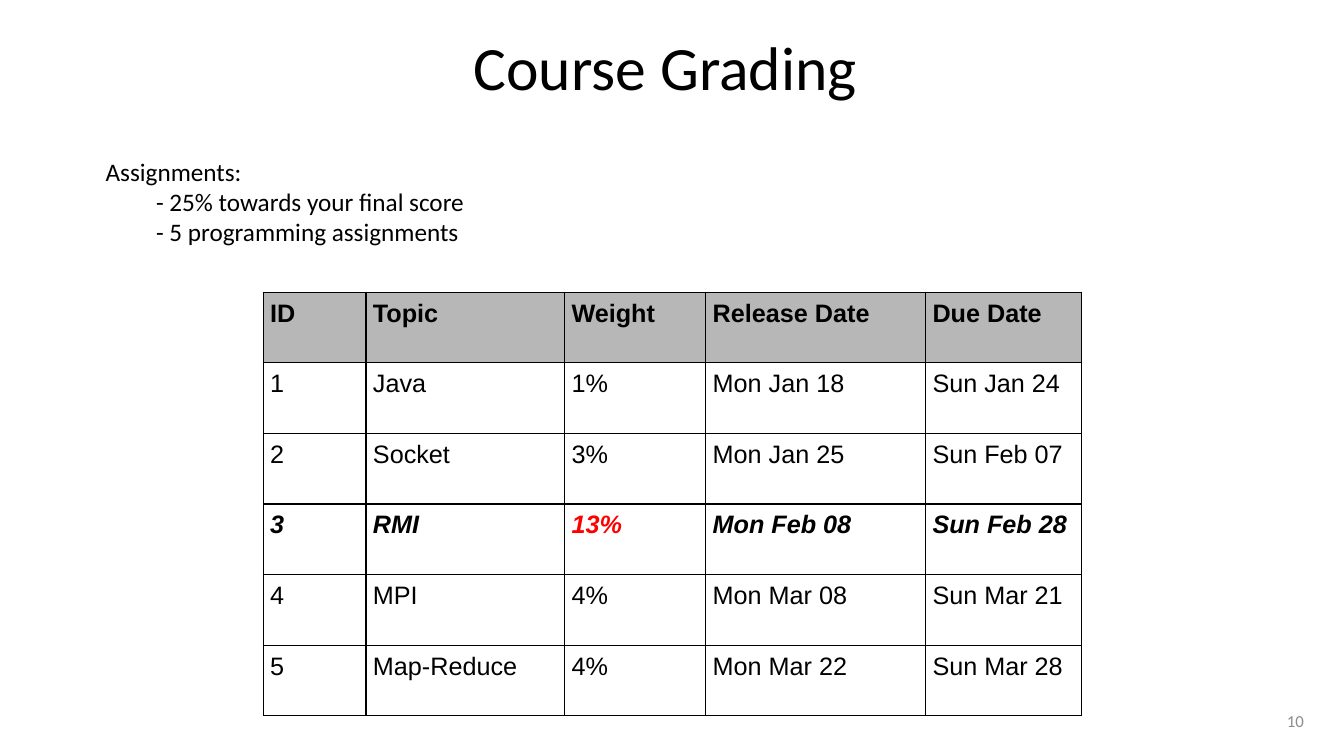
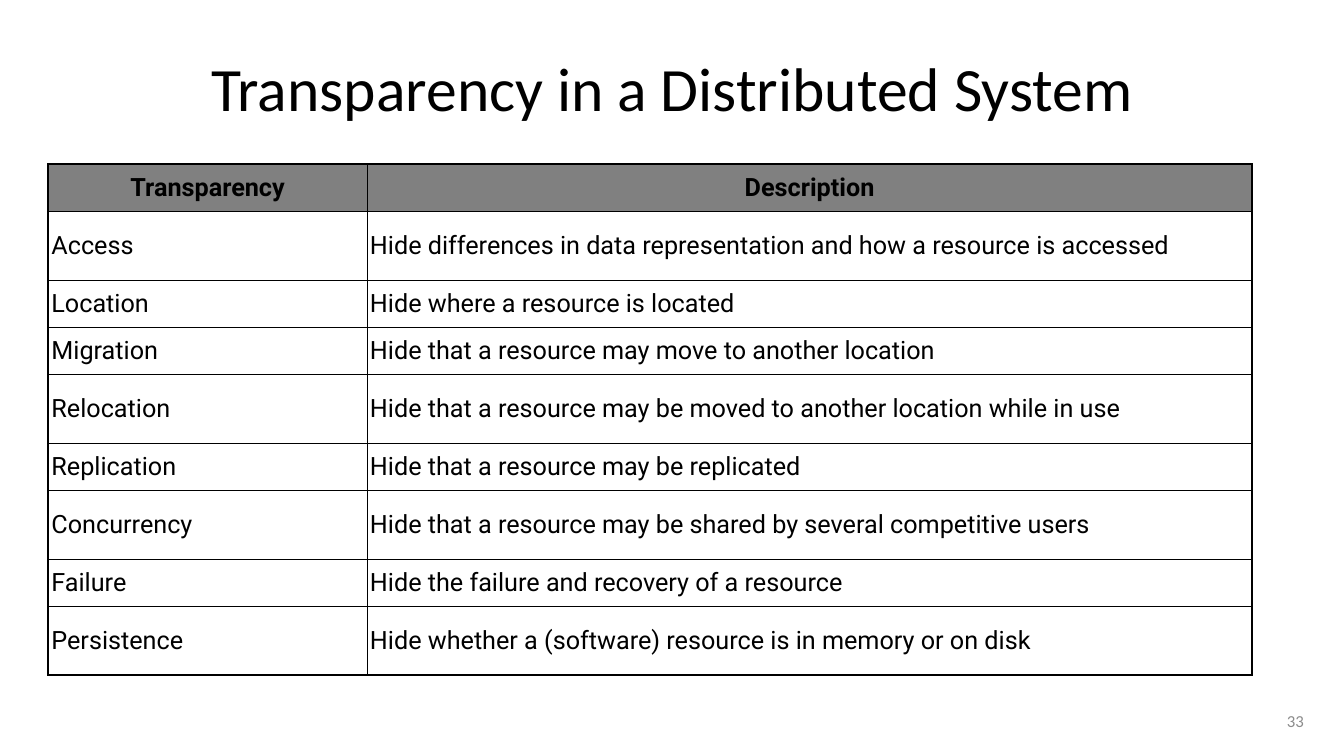
from lxml.etree import SubElement
from pptx import Presentation
from pptx.dml.color import RGBColor
from pptx.enum.text import MSO_ANCHOR, MSO_AUTO_SIZE, PP_ALIGN
from pptx.oxml.ns import qn
from pptx.util import Inches, Pt

# Content
GRADING_TITLE = "Course Grading"
GRADING_NOTES = [
    ("Assignments:", 0),
    ("- 25% towards your final score", 1),
    ("- 5 programming assignments", 1),
]
GRADING_ROWS = [
    ("ID", "Topic", "Weight", "Release Date", "Due Date"),
    ("1", "Java", "1%", "Mon Jan 18", "Sun Jan 24"),
    ("2", "Socket", "3%", "Mon Jan 25", "Sun Feb 07"),
    ("3", "RMI", "13%", "Mon Feb 08", "Sun Feb 28"),
    ("4", "MPI", "4%", "Mon Mar 08", "Sun Mar 21"),
    ("5", "Map-Reduce", "4%", "Mon Mar 22", "Sun Mar 28"),
]
CURRENT_ASSIGNMENT = 3
WEIGHT_COLUMN = 2

TRANSPARENCY_TITLE = "Transparency in a Distributed System"
TRANSPARENCY_ROWS = [
    ("Transparency", "Description"),
    ("Access", "Hide differences in data representation and how a resource is accessed"),
    ("Location", "Hide where a resource is located"),
    ("Migration", "Hide that a resource may move to another location"),
    ("Relocation", "Hide that a resource may be moved to another location while in use"),
    ("Replication", "Hide that a resource may be replicated"),
    ("Concurrency", "Hide that a resource may be shared by several competitive users"),
    ("Failure", "Hide the failure and recovery of a resource"),
    ("Persistence", "Hide whether a (software) resource is in memory or on disk"),
]
TALL_ROWS = {"Access", "Relocation", "Concurrency", "Persistence"}

# Shared style
COLORS = {
    "text": "000000",
    "page": "FFFFFF",
    "number": "8C8C8C",
    "highlight": "FF0000",
    "grading_header": "B7B7B7",
    "transparency_header": "808080",
}
BODY_FONT = "Calibri"


def color(name):
    return RGBColor.from_string(COLORS[name])


def style(paragraph, size, font=BODY_FONT, color_name="text", bold=False, italic=False):
    paragraph.font.name = font
    paragraph.font.size = Pt(size)
    paragraph.font.bold = bold
    paragraph.font.italic = italic
    paragraph.font.color.rgb = color(color_name)


def place(shape, box):
    shape.left, shape.top, shape.width, shape.height = map(Inches, box)


def add_text_box(slide, box):
    frame = slide.shapes.add_textbox(*map(Inches, box)).text_frame
    frame.word_wrap = True
    return frame


def add_titled_slide(presentation, title, title_box, number):
    slide = presentation.slides.add_slide(presentation.slide_layouts[5])
    place(slide.shapes.title, title_box)
    frame = slide.shapes.title.text_frame
    frame.text = title
    frame.vertical_anchor = MSO_ANCHOR.MIDDLE
    paragraph = frame.paragraphs[0]
    paragraph.alignment = PP_ALIGN.CENTER
    paragraph.line_spacing = 0.9
    style(paragraph, 44)

    frame = add_text_box(slide, (10.03, 6.95, 3, 0.4))
    frame.text = str(number)
    frame.vertical_anchor = MSO_ANCHOR.MIDDLE
    frame.paragraphs[0].alignment = PP_ALIGN.RIGHT
    style(frame.paragraphs[0], 12, color_name="number")
    return slide


def set_borders(cell, widths):
    properties = cell._tc.get_or_add_tcPr()
    for side, width in zip("LRTB", widths):
        line = SubElement(properties, qn(f"a:ln{side}"), w=str(Pt(width)))
        fill = SubElement(line, qn("a:solidFill"))
        SubElement(fill, qn("a:srgbClr"), val=COLORS["text"])


def add_grid(slide, rows, corner, column_widths, row_heights, font, header,
             margin, anchor, inner_line, outer_line):
    """Draw a bordered table with a filled header row."""
    size = (sum(column_widths), sum(row_heights))
    table = slide.shapes.add_table(
        len(rows), len(column_widths), *map(Inches, corner + size)).table
    table.first_row = table.horz_banding = False
    for column, width in zip(table.columns, column_widths):
        column.width = Inches(width)
    for row, height in zip(table.rows, row_heights):
        row.height = Inches(height)

    last_row, last_column = len(rows) - 1, len(column_widths) - 1
    for r, values in enumerate(rows):
        for c, value in enumerate(values):
            cell = table.cell(r, c)
            on_edge = (c == 0, c == last_column, r == 0, r == last_row)
            set_borders(cell, [outer_line if edge else inner_line for edge in on_edge])
            cell.fill.solid()
            cell.fill.fore_color.rgb = color(header if r == 0 else "page")
            cell.margin_left = cell.margin_right = Inches(margin)
            cell.margin_top = cell.margin_bottom = Inches(margin)
            cell.vertical_anchor = anchor
            cell.text = value
            style(cell.text_frame.paragraphs[0], 18, font, bold=r == 0)
    return table


def build_grading(presentation):
    slide = add_titled_slide(presentation, GRADING_TITLE, (0.95, 0.08, 11.3, 1.25), 10)
    table = add_grid(
        slide, GRADING_ROWS, (2.61, 2.9), (1.02, 1.97, 1.4, 2.18, 1.55),
        [0.7] * len(GRADING_ROWS), "Arial", "grading_header",
        margin=0.07, anchor=MSO_ANCHOR.TOP, inner_line=1, outer_line=1)

    # Current assignment stands out
    for c, cell in enumerate(table.rows[CURRENT_ASSIGNMENT].cells):
        style(cell.text_frame.paragraphs[0], 18, "Arial",
              "highlight" if c == WEIGHT_COLUMN else "text", bold=True, italic=True)

    # Notes above the table
    frame = add_text_box(slide, (0.95, 1.5, 11.77, 1.01))
    frame.auto_size = MSO_AUTO_SIZE.SHAPE_TO_FIT_TEXT
    for index, (text, level) in enumerate(GRADING_NOTES):
        paragraph = frame.add_paragraph() if index else frame.paragraphs[0]
        paragraph.text = text
        paragraph.level = level
        paragraph._p.get_or_add_pPr().set("marL", str(Inches(0.5 * level)))
        style(paragraph, 18)


def build_transparency(presentation):
    slide = add_titled_slide(
        presentation, TRANSPARENCY_TITLE, (0.92, 0.18, 11.5, 1.45), 33)
    heights = [0.68 if name in TALL_ROWS else 0.47 for name, _ in TRANSPARENCY_ROWS]
    table = add_grid(
        slide, TRANSPARENCY_ROWS, (0.48, 1.63), (3.16, 8.78), heights,
        "Roboto", "transparency_header",
        margin=0.03, anchor=MSO_ANCHOR.MIDDLE, inner_line=0.75, outer_line=1.5)
    for cell in table.rows[0].cells:
        cell.text_frame.paragraphs[0].alignment = PP_ALIGN.CENTER


def main():
    presentation = Presentation()
    presentation.slide_width = Inches(13.33)
    presentation.slide_height = Inches(7.5)
    build_grading(presentation)
    build_transparency(presentation)
    presentation.save("out.pptx")


if __name__ == "__main__":
    main()
